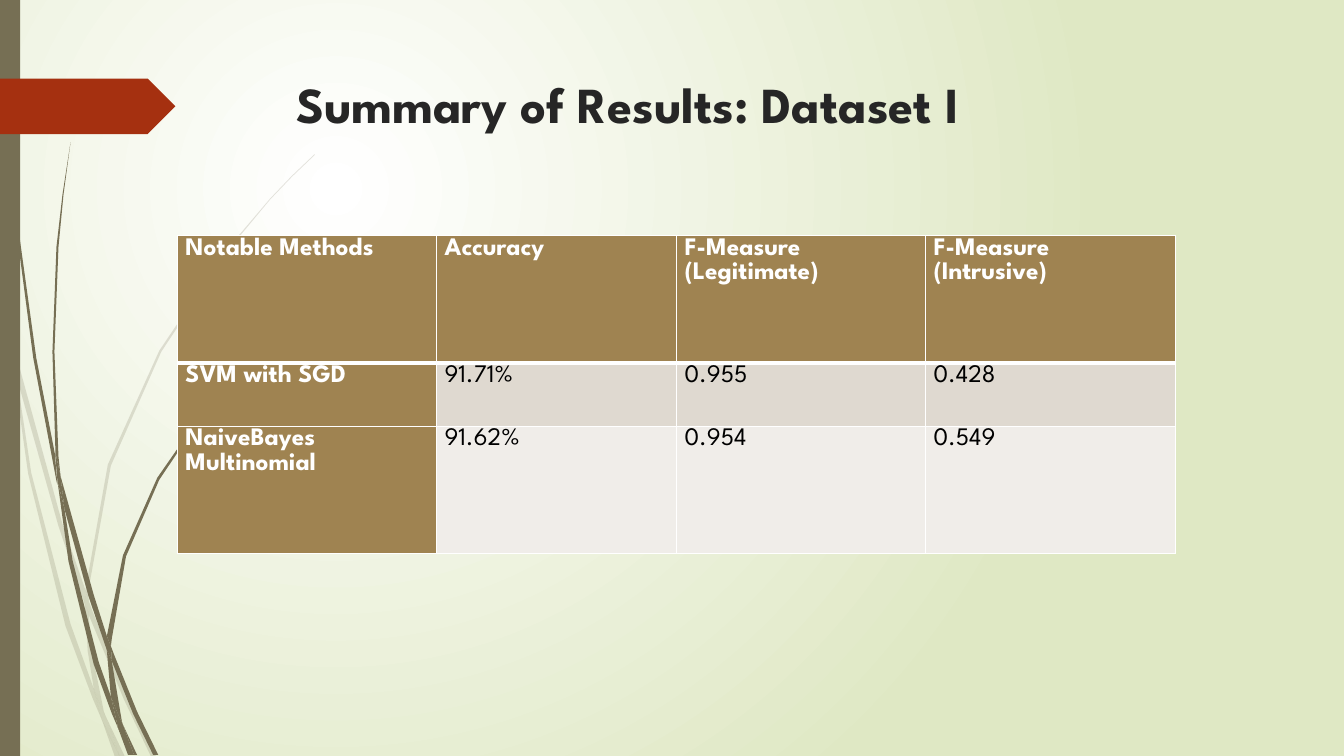
"""Build the summary slide that compares classifier results on the first dataset."""
from dataclasses import dataclass

from lxml.etree import SubElement
from pptx import Presentation
from pptx.dml.color import RGBColor
from pptx.enum.shapes import MSO_SHAPE
from pptx.enum.text import MSO_ANCHOR
from pptx.oxml.ns import qn
from pptx.util import Inches, Pt


@dataclass(frozen=True)
class Theme:
    font: str = "League Spartan"
    title_size: int = 36
    table_size: int = 18
    title: str = "262626"
    white: str = "FFFFFF"
    black: str = "000000"
    meadow: str = "DFE8C4"
    olive: str = "766F54"
    rust: str = "A53010"
    heading: str = "9F8351"
    bands: tuple = ("DFD9D0", "F0EDE9")
    thin: int = 1
    thick: int = 3
    faint: int = 20


@dataclass(frozen=True)
class Tuft:
    opacity: int
    blades: tuple


@dataclass(frozen=True)
class Block:
    kind: MSO_SHAPE
    color: str
    left: float
    top: float
    width: float
    height: float


THEME = Theme()
BACK_TUFT = Tuft(THEME.faint, (
    ((0.11, 3.5), (0.09, 3.22), (0, 2.82), (0, 2.99), (0.1, 3.44)),
    ((0.58, 5.22), (0.84, 5.99), (0.85, 5.86), (0.62, 5.2), (0.14, 3.45), (0.17, 3.76)),
    ((0.92, 6.07), (0.88, 5.96), (0.88, 6.1), (1.23, 6.94), (1.5, 7.51), (1.55, 7.51),
     (1.27, 6.92)),
    ((1.19, 7.51), (1.24, 7.51), (1.05, 7.11)),
    ((0.93, 6.83), (0.7, 6.19), (0.31, 4.69), (0.17, 3.76), (0.11, 3.5), (0.28, 4.7),
     (0.65, 6.21), (0.92, 6.93), (1.01, 7.14), (0.99, 7.07)),
    ((0.84, 5.99), (0.87, 6.46), (0.93, 6.83), (0.96, 6.92), (1.05, 7.11), (1.03, 7.06),
     (0.91, 6.46), (0.88, 6.1), (0.88, 6.08)),
    ((0.88, 5.84), (1.1, 4.62), (1.6, 3.49), (2.29, 2.45), (2.68, 1.98), (2.9, 1.75),
     (3.12, 1.54), (3.12, 1.53), (2.89, 1.75), (2.68, 1.97), (2.28, 2.44), (1.58, 3.48),
     (1.07, 4.61), (0.85, 5.84), (0.85, 5.86), (0.88, 5.96)),
    ((1.01, 7.14), (1.14, 7.51), (1.19, 7.51)),
    ((0.88, 6.08), (0.88, 6.1), (0.88, 5.96), (0.85, 5.86), (0.84, 5.99)),
    ((0.96, 6.92), (0.93, 6.83), (0.99, 7.07), (1.01, 7.14), (1.19, 7.51), (1.05, 7.11)),
))
FRONT_TUFT = Tuft(100, (
    ((0.07, 1.1), (0.17, 2.33), (0.33, 3.55), (0.56, 4.77), (0.57, 4.81), (0.55, 4.57),
     (0.55, 4.53), (0.36, 3.55), (0.19, 2.32), (0.08, 1.09), (0.05, 0.48), (0.04, 0),
     (0.03, 0), (0.04, 0.48)),
    ((0.88, 5.92), (1.06, 6.45), (1.06, 6.33), (1.06, 6.31), (0.93, 5.9), (0.6, 4.72),
     (0.64, 5.05)),
    ((1.13, 6.49), (1.1, 6.41), (1.11, 6.56), (1.32, 7.08), (1.52, 7.49), (1.57, 7.49),
     (1.36, 7.06)),
    ((1.1, 6.91), (0.98, 6.57), (0.72, 5.56), (0.64, 5.05), (0.57, 4.77), (0.68, 5.57),
     (0.93, 6.59), (1.11, 7.08), (1.17, 7.22), (1.16, 7.17)),
    ((0.6, 4.72), (0.58, 4.53), (0.54, 3.49), (0.58, 2.45), (0.63, 1.93), (0.7, 1.41),
     (0.62, 1.93), (0.56, 2.45), (0.52, 3.49), (0.55, 4.49)),
    ((1.33, 7.49), (1.36, 7.49), (1.22, 7.19)),
    ((0.57, 4.77), (0.64, 5.05), (0.6, 4.72), (0.55, 4.49), (0.55, 4.53)),
    ((1.11, 6.33), (1.25, 5.52), (1.58, 4.76), (2.05, 4.06), (2.31, 3.74), (2.45, 3.59),
     (2.61, 3.44), (2.6, 3.44), (2.45, 3.58), (2.31, 3.73), (2.04, 4.05), (1.56, 4.74),
     (1.22, 5.51), (1.06, 6.31), (1.1, 6.41)),
    ((1.17, 7.22), (1.27, 7.49), (1.31, 7.49)),
    ((1.06, 6.45), (1.1, 6.91), (1.16, 7.06), (1.22, 7.19), (1.21, 7.16), (1.11, 6.56),
     (1.09, 6.51)),
    ((1.06, 6.45), (1.09, 6.51), (1.11, 6.56), (1.1, 6.41), (1.06, 6.31), (1.06, 6.33)),
    ((1.16, 7.06), (1.1, 6.91), (1.16, 7.17), (1.17, 7.22), (1.3, 7.49), (1.33, 7.49),
     (1.22, 7.19)),
))
BLOCKS = (
    Block(MSO_SHAPE.RECTANGLE, THEME.olive, 0, 0, 0.2, 7.5),
    Block(MSO_SHAPE.PENTAGON, THEME.rust, 0, 0.78, 1.74, 0.55),
)
COLUMN_WIDTHS = (2.57, 2.38, 2.47, 2.48)
ROW_HEIGHTS = (1.26, 0.63, 1.26)
RESULTS = (
    ("Notable Methods", "Accuracy", "F-Measure (Legitimate)", "F-Measure (Intrusive)"),
    ("SVM with SGD", "91.71%", "0.955", "0.428"),
    ("NaiveBayes Multinomial", "91.62%", "0.954", "0.549"),
)


def paint_background(page) -> None:
    """Fill the page with a circular gradient."""
    fill = page.background.fill
    fill.gradient()
    for stop, color in zip(fill.gradient_stops, (THEME.white, THEME.meadow)):
        stop.color.rgb = RGBColor.from_string(color)
    gradient = next(page.element.iter(qn("a:gradFill")))
    gradient.remove(gradient.find(qn("a:lin")))
    circle = SubElement(gradient, qn("a:path"), path="circle")
    SubElement(circle, qn("a:fillToRect"), l="50000", t="50000", r="100000", b="100000")


def paint_shape(shape, color: str, opacity: int = 100) -> None:
    """Give a shape a flat fill without line or shadow."""
    shape.shadow.inherit = False
    shape.line.fill.background()
    shape.fill.solid()
    shape.fill.fore_color.rgb = RGBColor.from_string(color)
    if opacity < 100:
        tint = next(shape.element.iter(qn("a:srgbClr")))
        SubElement(tint, qn("a:alpha"), val=str(opacity * 1000))


def draw_tuft(page, tuft: Tuft) -> None:
    """Draw every blade of one tuft of grass."""
    for blade in tuft.blades:
        outline = [(Inches(x), Inches(y)) for x, y in blade]
        builder = page.shapes.build_freeform(*outline[0])
        builder.add_line_segments(outline[1:], close=True)
        paint_shape(builder.convert_to_shape(), THEME.olive, tuft.opacity)


def draw_block(page, block: Block) -> None:
    """Draw one preset shape."""
    shape = page.shapes.add_shape(
        block.kind, Inches(block.left), Inches(block.top),
        Inches(block.width), Inches(block.height))
    paint_shape(shape, block.color)


def add_span(para, text: str, size: int, color: str, bold: bool) -> None:
    """Add one styled run to a paragraph."""
    span = para.add_run()
    span.text = text
    span.font.name = THEME.font
    span.font.size = Pt(size)
    span.font.bold = bold
    span.font.color.rgb = RGBColor.from_string(color)


def draw_title(page) -> None:
    """Draw the slide title."""
    box = page.shapes.add_textbox(Inches(2.84), Inches(0.68), Inches(9.75), Inches(1.4))
    frame = box.text_frame
    frame.word_wrap = True
    frame.vertical_anchor = MSO_ANCHOR.TOP
    add_span(frame.paragraphs[0], "Summary of Results: Dataset I",
             THEME.title_size, THEME.title, True)


def add_borders(cell, row: int) -> None:
    """Rule a cell in white, with a thick line below the heading row."""
    properties = cell._tc.get_or_add_tcPr()
    for side in ("lnL", "lnR", "lnT", "lnB"):
        width = THEME.thick if row == 0 and side == "lnB" else THEME.thin
        line = SubElement(properties, qn(f"a:{side}"), w=str(Pt(width)))
        SubElement(SubElement(line, qn("a:solidFill")), qn("a:srgbClr"), val=THEME.white)


def draw_results(page) -> None:
    """Draw the table of results."""
    table = page.shapes.add_table(
        len(RESULTS), len(COLUMN_WIDTHS), Inches(1.76), Inches(2.34),
        Inches(sum(COLUMN_WIDTHS)), Inches(sum(ROW_HEIGHTS))).table
    for column, width in zip(table.columns, COLUMN_WIDTHS):
        column.width = Inches(width)
    for row, (texts, height) in enumerate(zip(RESULTS, ROW_HEIGHTS)):
        table.rows[row].height = Inches(height)
        for column, text in enumerate(texts):
            heading = row == 0 or column == 0
            cell = table.cell(row, column)
            cell.margin_left = cell.margin_right = Inches(0.08)
            cell.margin_top = cell.margin_bottom = Inches(0)
            add_borders(cell, row)
            cell.fill.solid()
            cell.fill.fore_color.rgb = RGBColor.from_string(
                THEME.heading if heading else THEME.bands[row - 1])
            para = cell.text_frame.paragraphs[0]
            para.line_spacing = 1.07
            add_span(para, text, THEME.table_size,
                     THEME.white if heading else THEME.black, heading)


deck = Presentation()
deck.slide_width, deck.slide_height = Inches(13.33), Inches(7.5)
page = deck.slides.add_slide(deck.slide_layouts[6])
paint_background(page)
for tuft in (BACK_TUFT, FRONT_TUFT):
    draw_tuft(page, tuft)
for block in BLOCKS:
    draw_block(page, block)
draw_title(page)
draw_results(page)
deck.save("out.pptx")
